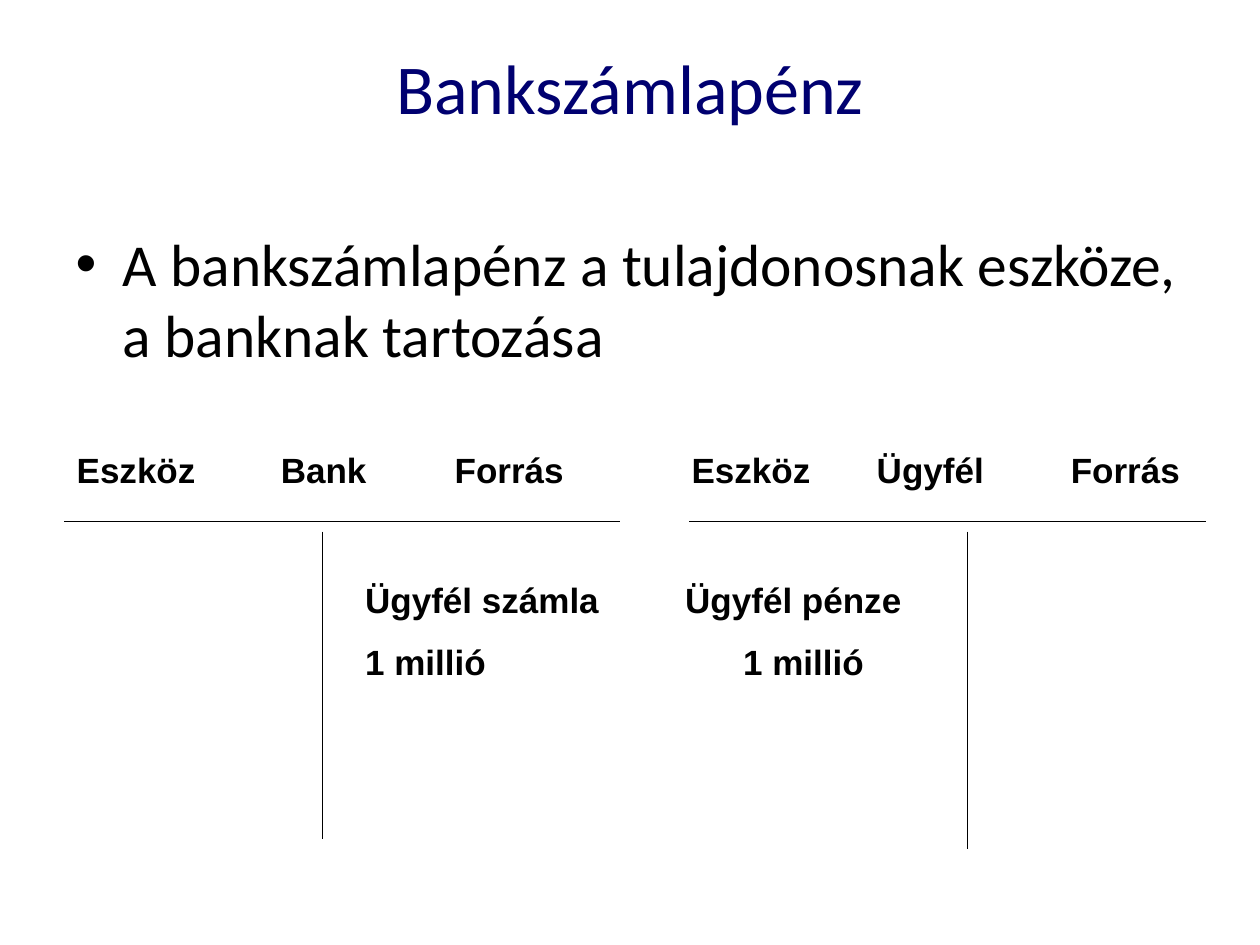
"""Build the bank account money slide with two T-accounts."""
from lxml import etree
from pptx import Presentation
from pptx.dml.color import RGBColor
from pptx.enum.shapes import MSO_CONNECTOR
from pptx.enum.text import MSO_ANCHOR, MSO_AUTO_SIZE, PP_ALIGN
from pptx.oxml.ns import qn
from pptx.util import Inches, Pt

NAVY = RGBColor(0x00, 0x00, 0x70)
BLACK = RGBColor(0x00, 0x00, 0x00)


def style_font(font, name, size, color, bold=False):
    font.name, font.size, font.bold = name, Pt(size), bold
    font.color.rgb = color


prs = Presentation()
prs.slide_width, prs.slide_height = Inches(10), Inches(7.5)
slide = prs.slides.add_slide(prs.slide_layouts[1])

placeholders = [
    (slide.shapes.title, "Bankszámlapénz", 0.3, 1.25, 40, NAVY),
    (slide.placeholders[1],
     "A bankszámlapénz a tulajdonosnak eszköze, a banknak tartozása",
     1.75, 4.95, 34, BLACK),
]
for shape, text, top, height, size, color in placeholders:
    shape.left, shape.top = Inches(0.5), Inches(top)
    shape.width, shape.height = Inches(9), Inches(height)
    frame = shape.text_frame
    frame.text = text
    frame.auto_size = MSO_AUTO_SIZE.NONE
    frame.vertical_anchor = MSO_ANCHOR.TOP
    style_font(frame.paragraphs[0].runs[0].font, "Calibri", size, color)
slide.shapes.title.text_frame.paragraphs[0].alignment = PP_ALIGN.CENTER

account_lines = [
    (2.56, 4.22, 2.56, 6.66),
    (0.51, 4.14, 4.92, 4.14),
    (7.68, 4.22, 7.68, 6.74),
    (5.47, 4.14, 9.57, 4.14),
]
for ends in account_lines:
    line = slide.shapes.add_connector(
        MSO_CONNECTOR.STRAIGHT, *(Inches(value) for value in ends))
    line.line.color.rgb = BLACK
    line.line.width = Pt(0.75)
    etree.SubElement(line._element.spPr, qn("a:effectLst"))

account_texts = [
    (0.51, 3.51, 4.49, 0.44, [("Eszköz\tBank\tForrás", (1.62, 3))]),
    (5.39, 3.51, 4.17, 0.44, [("Eszköz\tÜgyfél\tForrás", (1.47, 3.01))]),
    (2.8, 4.54, 4.8, 0.93, [("Ügyfél számla\tÜgyfél pénze", (2.54,)),
                            ("1 millió\t1 millió", (3,))]),
]
for left, top, width, height, rows in account_texts:
    box = slide.shapes.add_textbox(
        Inches(left), Inches(top), Inches(width), Inches(height))
    frame = box.text_frame
    frame.word_wrap = True
    frame.auto_size = MSO_AUTO_SIZE.SHAPE_TO_FIT_TEXT
    frame.text = "\n".join(text for text, stops in rows)
    for paragraph, (text, stops) in zip(frame.paragraphs, rows):
        paragraph.space_before = Pt(11.5)
        style_font(paragraph.runs[0].font, "Arial", 20, BLACK, True)
        tab_list = etree.SubElement(
            paragraph._p.get_or_add_pPr(), qn("a:tabLst"))
        for stop in stops:
            etree.SubElement(tab_list, qn("a:tab"),
                             pos=str(Inches(stop)), algn="l")

prs.save("out.pptx")
